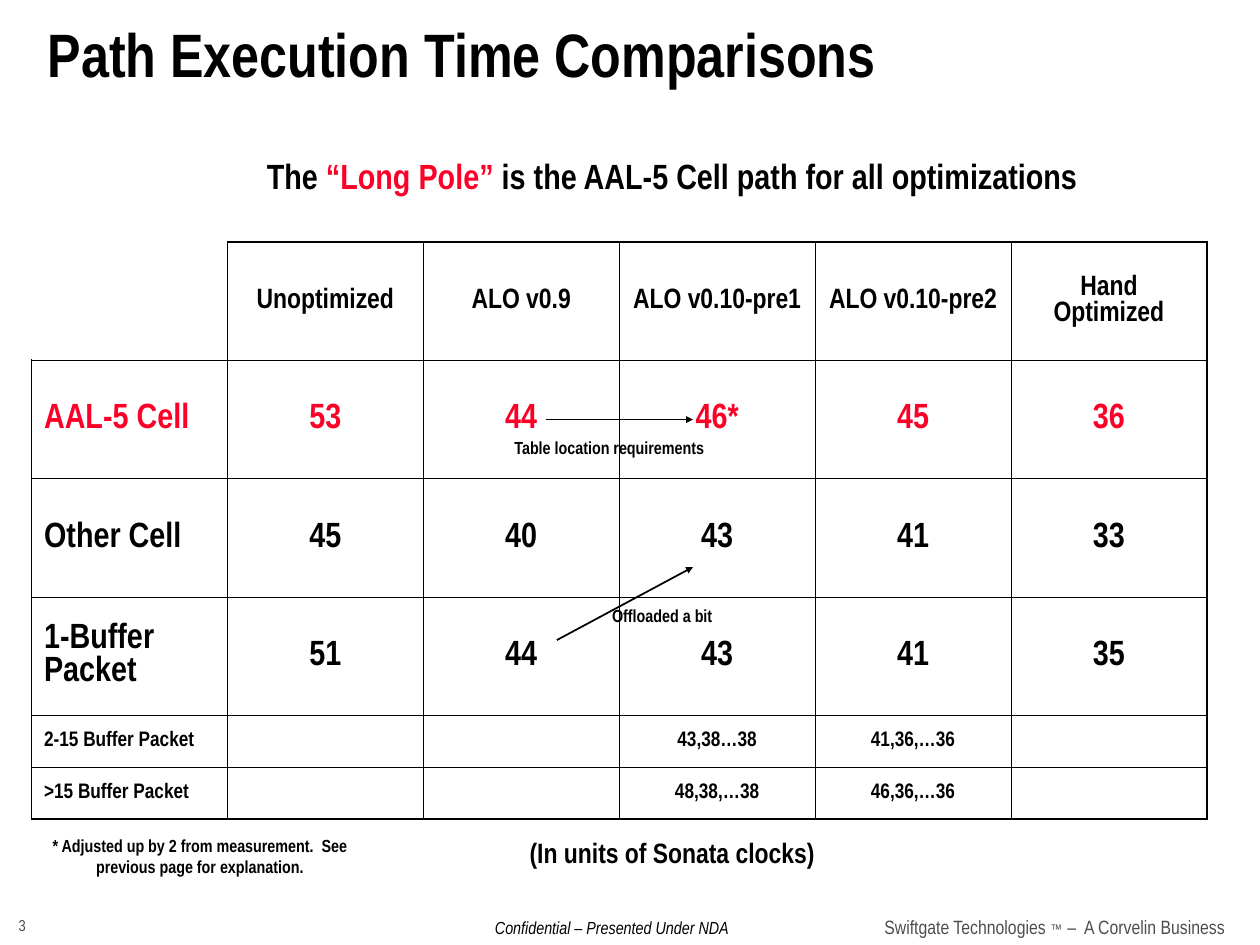
import dataclasses

import lxml.etree
import pptx
import pptx.dml.color
import pptx.enum.shapes
import pptx.enum.text
import pptx.oxml.ns
import pptx.util

Inches = pptx.util.Inches
Pt = pptx.util.Pt
ALIGN = pptx.enum.text.PP_ALIGN
ANCHOR = pptx.enum.text.MSO_ANCHOR
AUTO_SIZE = pptx.enum.text.MSO_AUTO_SIZE
qn = pptx.oxml.ns.qn


@dataclasses.dataclass(frozen=True)
class Theme:
    font: str = "Arial Narrow"
    symbol_font: str = "Arial"
    ink: str = "000000"
    accent: str = "FC0128"
    muted: str = "4D4D4D"
    title: float = 35
    body: float = 20
    heading: float = 16
    detail: float = 12
    brand: float = 11
    note: float = 10
    page: float = 9
    mark: float = 8
    title_spacing: float = 0.8
    frame: float = 1.08
    grid: float = 0.45
    arrow: float = 1


THEME = Theme()


def rgb(value):
    return pptx.dml.color.RGBColor.from_string(value)


class SlideBuilder:
    def __init__(self, slide, theme):
        self.slide = slide
        self.theme = theme

    def run(self, paragraph, text, size, color=None, bold=True, italic=False, font=None):
        run = paragraph.add_run()
        run.text = text
        run.font.name = font or self.theme.font
        run.font.size = Pt(size)
        run.font.bold = bold
        run.font.italic = italic
        run.font.color.rgb = rgb(color or self.theme.ink)

    def text(self, left, top, width, height, runs, align=ALIGN.CENTER,
             anchor=ANCHOR.TOP, wrap=True, spacing=None):
        """Place one paragraph; each run is a dict of arguments for run()."""
        box = self.slide.shapes.add_textbox(
            Inches(left), Inches(top), Inches(width), Inches(height))
        frame = box.text_frame
        frame.word_wrap = wrap
        if not wrap:
            frame.auto_size = AUTO_SIZE.SHAPE_TO_FIT_TEXT
        frame.vertical_anchor = anchor
        paragraph = frame.paragraphs[0]
        paragraph.alignment = align
        if spacing:
            paragraph.line_spacing = spacing
        for run in runs:
            self.run(paragraph, **run)

    def arrow(self, x1, y1, x2, y2):
        arrow = self.slide.shapes.add_connector(
            pptx.enum.shapes.MSO_CONNECTOR.STRAIGHT,
            Inches(x1), Inches(y1), Inches(x2), Inches(y2))
        arrow.line.color.rgb = rgb(self.theme.ink)
        arrow.line.width = Pt(self.theme.arrow)
        line = arrow.line._get_or_add_ln()
        lxml.etree.SubElement(line, qn("a:tailEnd"), type="triangle", w="sm", len="sm")
        lxml.etree.SubElement(arrow._element.spPr, qn("a:effectLst"))

    def border(self, cell, side, width):
        """Draw one cell edge; a width of None leaves it open."""
        properties = cell._tc.get_or_add_tcPr()
        line = lxml.etree.SubElement(properties, qn(f"a:ln{side}"))
        if width is None:
            lxml.etree.SubElement(line, qn("a:noFill"))
            return
        line.set("w", str(Pt(width)))
        fill = lxml.etree.SubElement(line, qn("a:solidFill"))
        lxml.etree.SubElement(fill, qn("a:srgbClr"), val=self.theme.ink)

    def table(self, left, top, width, rows, heights, sizes, accent_row):
        row_count, column_count = len(rows), len(rows[0])
        table = self.slide.shapes.add_table(
            row_count, column_count, Inches(left), Inches(top),
            Inches(width), Inches(sum(heights))).table
        table.first_row = table.horz_banding = False
        for column in table.columns:
            column.width = Inches(width / column_count)
        for r, values in enumerate(rows):
            table.rows[r].height = Inches(heights[r])
            color = self.theme.accent if r == accent_row else self.theme.ink
            for c, value in enumerate(values):
                cell = table.cell(r, c)
                cell.vertical_anchor = ANCHOR.MIDDLE
                cell.margin_left = cell.margin_right = Inches(0.1)
                cell.margin_top = cell.margin_bottom = Inches(0.05)
                corner = r == c == 0
                # The heading row, the label column and the whole are framed.
                edges = {"L": (c, (0, 1)), "R": (c + 1, (1, column_count)),
                         "T": (r, (0, 1)), "B": (r + 1, (1, row_count))}
                for side, (position, framed) in edges.items():
                    width_pt = self.theme.frame if position in framed else self.theme.grid
                    self.border(cell, side, None if corner and side in "LT" else width_pt)
                cell.fill.background()
                if value:
                    paragraph = cell.text_frame.paragraphs[0]
                    paragraph.alignment = ALIGN.CENTER if c or r == 0 else ALIGN.LEFT
                    paragraph.space_after = Pt(sizes[r] * 0.625)
                    self.run(paragraph, value, sizes[r], color)


def main():
    deck = pptx.Presentation()
    deck.slide_width, deck.slide_height = Inches(10), Inches(7.5)
    page = SlideBuilder(deck.slides.add_slide(deck.slide_layouts[6]), THEME)

    footer = dict(color=THEME.muted, bold=False)
    page.text(0.05, 7.22, 0.66, 0.25, [dict(text="3", size=THEME.page, **footer)],
              align=ALIGN.LEFT, anchor=ANCHOR.MIDDLE)
    page.text(6.92, 7.21, 3.58, 0.29, [
        dict(text="Swiftgate Technologies ", size=THEME.brand, **footer),
        dict(text="™", size=THEME.mark, **footer),
        dict(text=" ", size=THEME.brand, font=THEME.symbol_font, **footer),
        dict(text="–  A Corvelin Business", size=THEME.brand, **footer),
    ], align=ALIGN.LEFT, anchor=ANCHOR.MIDDLE)
    page.text(3.78, 7.23, 2.15, 0.27, [
        dict(text="Confidential – Presented Under NDA", size=THEME.note,
             bold=False, italic=True)], wrap=False)

    page.text(0.28, 0.14, 7.31, 0.67,
              [dict(text="Path Execution Time Comparisons", size=THEME.title)],
              align=ALIGN.LEFT, anchor=ANCHOR.MIDDLE, spacing=THEME.title_spacing)
    page.text(1.75, 1.18, 7.17, 0.44, [
        dict(text="The ", size=THEME.body),
        dict(text="“Long Pole”", size=THEME.body, color=THEME.accent),
        dict(text=" is the AAL-5 Cell path for all optimizations", size=THEME.body),
    ])

    clocks = [
        ["", "Unoptimized", "ALO v0.9", "ALO v0.10-pre1", "ALO v0.10-pre2", "Hand Optimized"],
        ["AAL-5 Cell", "53", "44", "46*", "45", "36"],
        ["Other Cell", "45", "40", "43", "41", "33"],
        ["1-Buffer Packet", "51", "44", "43", "41", "35"],
        ["2-15 Buffer Packet", "", "", "43,38…38", "41,36,…36", ""],
        [">15 Buffer Packet", "", "", "48,38,…38", "46,36,…36", ""],
    ]
    page.table(0.25, 1.92, 9.33, clocks,
               heights=[0.94] * 4 + [0.41] * 2,
               sizes=[THEME.heading] + [THEME.body] * 3 + [THEME.detail] * 2,
               accent_row=1)

    page.text(2.92, 6.58, 4.83, 0.37,
              [dict(text="(In units of Sonata clocks)", size=THEME.heading)])
    page.arrow(4.42, 5.08, 5.5, 4.5)
    page.arrow(4.33, 3.33, 5.5, 3.33)
    notes = [
        (3.92, 4.75, 0.27, "Offloaded a bit"),
        (3.5, 3.42, 0.27, "Table location requirements"),
        (0.25, 6.58, 0.44,
         "* Adjusted up by 2 from measurement.  See previous page for explanation."),
    ]
    for left, top, height, note in notes:
        page.text(left, top, 2.67, height, [dict(text=note, size=THEME.note)])

    deck.save("out.pptx")


if __name__ == "__main__":
    main()
